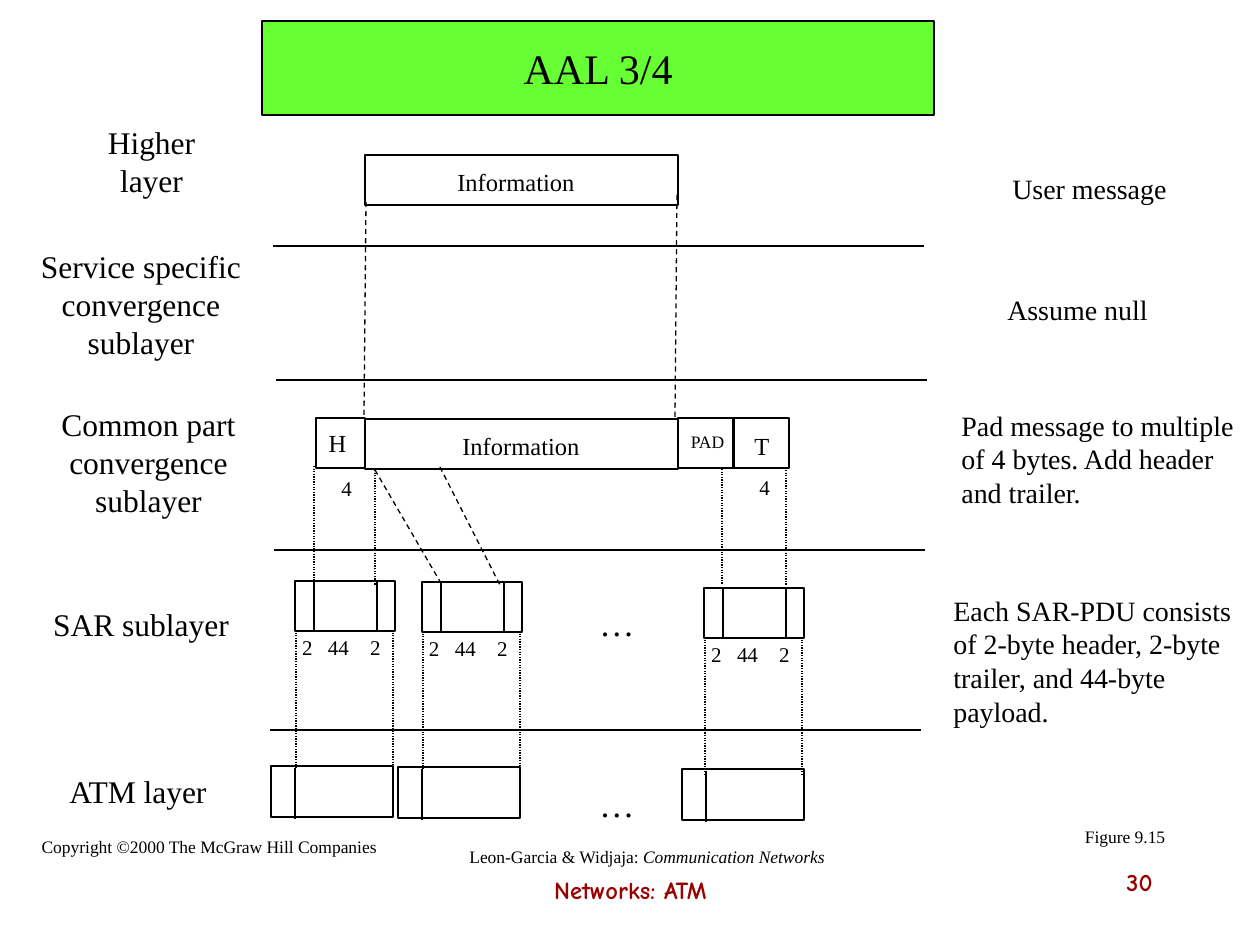
from lxml.etree import SubElement
from pptx import Presentation
from pptx.dml.color import RGBColor
from pptx.enum.dml import MSO_LINE
from pptx.enum.shapes import MSO_CONNECTOR, MSO_SHAPE
from pptx.enum.text import MSO_ANCHOR, PP_ALIGN
from pptx.oxml.ns import qn
from pptx.util import Emu, Pt

BLACK = RGBColor(0x00, 0x00, 0x00)
GREEN = RGBColor(0x66, 0xFF, 0x33)
DARK_RED = RGBColor(0x99, 0x00, 0x00)
SERIF = "Times New Roman"
COMIC = "Comic Neue"
THIN, THICK = 0.75, 1.5
LEFT, CENTER, RIGHT = PP_ALIGN.LEFT, PP_ALIGN.CENTER, PP_ALIGN.RIGHT
DASH, DOT = MSO_LINE.DASH, MSO_LINE.ROUND_DOT


def px(length):
    return Emu(round(length * 914400 / 126))


class Sketch:
    def __init__(self, page):
        self.page = page

    def fill_text(self, frame, spans, size, align=CENTER, font=SERIF, color=BLACK,
                  bold=False, anchor=MSO_ANCHOR.MIDDLE, tabs=()):
        """Fill a text frame; spans are (text, italic) pairs."""
        frame.vertical_anchor = anchor
        para = frame.paragraphs[0]
        para.alignment = align
        if tabs:
            tab_list = SubElement(para._p.get_or_add_pPr(), qn("a:tabLst"))
            for stop in tabs:
                SubElement(tab_list, qn("a:tab"), pos=str(px(stop)), algn="l")
        para.font.name = font
        para.font.size = Pt(size)
        para.font.bold = bold
        para.font.color.rgb = color
        for text, italic in spans:
            span = para.add_run()
            span.text = text
            if italic:
                span.font.italic = True

    def text(self, x, y, width, height, words, size, wrap=True, inset=None, **style):
        box = self.page.shapes.add_textbox(px(x), px(y), px(width), px(height))
        box.text_frame.word_wrap = wrap
        if inset is not None:
            box.text_frame.margin_left = px(inset)
        spans = [(words, False)] if isinstance(words, str) else words
        self.fill_text(box.text_frame, spans, size, **style)

    def rect(self, x, y, width, height, fill=None, weight=THICK):
        box = self.page.shapes.add_shape(
            MSO_SHAPE.RECTANGLE, px(x), px(y), px(width), px(height))
        box.shadow.inherit = False
        if fill is None:
            box.fill.background()
        else:
            box.fill.solid()
            box.fill.fore_color.rgb = fill
        box.line.color.rgb = BLACK
        box.line.width = Pt(weight)
        return box

    def line(self, x1, y1, x2, y2, weight=THIN, dash=None):
        link = self.page.shapes.add_connector(
            MSO_CONNECTOR.STRAIGHT, px(x1), px(y1), px(x2), px(y2))
        link.line.color.rgb = BLACK
        link.line.width = Pt(weight)
        if dash is not None:
            link.line.dash_style = dash
        SubElement(link._element.spPr, qn("a:effectLst"))
        return link

    def sar_unit(self, x, y):
        """Header, payload and trailer with their byte counts."""
        self.rect(x, y, 100, 50)
        for offset in (19, 82):
            self.line(x + offset, y, x + offset, y + 49, THICK)
        self.text(x - 23, y + 45, 145, 43, "2\t44\t2", 12, inset=30,
                  align=LEFT, tabs=(26, 68))

    def atm_cell(self, x, y):
        self.rect(x, y, 122, 51)
        self.line(x + 24, y + 2, x + 24, y + 53, THICK)


def main():
    deck = Presentation()
    deck.slide_width, deck.slide_height = px(1260), px(945)
    page = deck.slides.add_slide(deck.slide_layouts[6])
    sketch = Sketch(page)

    # Title
    title = sketch.rect(262, 21, 672, 94, GREEN, THIN)
    sketch.fill_text(title.text_frame, [("AAL 3/4", False)], 24)

    # Layer names
    for x, y, width, height, name in (
            (60, 136, 183, 50, "Higher layer"),
            (10, 241, 262, 126, "Service specific convergence sublayer"),
            (13, 399, 271, 126, "Common part convergence sublayer"),
            (10, 599, 262, 50, "SAR sublayer"),
            (14, 766, 248, 50, "ATM layer")):
        sketch.text(x, y, width, height, name, 18)

    # Remarks
    for x, y, width, height, remark, align in (
            (941, 165, 297, 47, "User message", CENTER),
            (929, 286, 297, 47, "Assume null", CENTER),
            (949, 402, 311, 113,
             "Pad message to multiple of 4 bytes. Add header and trailer.", LEFT),
            (941, 587, 324, 147, "Each SAR-PDU consists of 2-byte header, "
             "2-byte trailer, and 44-byte payload.", LEFT)):
        sketch.text(x, y, width, height, remark, 16, align=align)

    # Layer separators
    for x, y in ((273, 246), (276, 380), (274, 550), (270, 730)):
        sketch.line(x, y, x + 651, y)

    # User message and convergence sublayer frame
    sketch.rect(365, 155, 313, 50)
    sketch.rect(365, 419, 313, 50)
    sketch.rect(316, 418, 49, 50)
    tail = sketch.rect(678, 418, 111, 50)
    divider = sketch.line(733, 418, 733, 468, THICK)
    divider.begin_connect(tail, 0)
    divider.end_connect(tail, 2)
    for x, y in ((377, 160), (382, 424)):
        sketch.text(x, y, 278, 43, "Information", 14)
    for x, y, width, height, label, size in (
            (316, 421, 43, 43, "H", 14), (742, 424, 40, 43, "T", 14),
            (678, 425, 59, 34, "PAD", 10),
            (329, 469, 35, 38, "4", 12), (747, 468, 35, 38, "4", 12)):
        sketch.text(x, y, width, height, label, size, wrap=False)

    # Dashed guides for the information field
    for guide in ((677, 195, 675, 417), (366, 202, 364, 418),
                  (375, 470, 442, 585), (440, 467, 501, 587)):
        sketch.line(*guide, dash=DASH)

    # Dotted guides into the first and last SAR units
    for x, y in ((314, 466), (375, 470), (722, 469), (786, 470)):
        sketch.line(x, y, x, y + 115, dash=DOT)

    # SAR units, the ATM cells below and the guides between them
    for sar_x, sar_y, atm_x, atm_y in (
            (295, 581, 271, 766), (422, 582, 398, 767), (704, 588, 682, 769)):
        sketch.sar_unit(sar_x, sar_y)
        sketch.atm_cell(atm_x, atm_y)
        for x in (sar_x + 1, sar_x + 98):
            sketch.line(x, sar_y + 49, x, sar_y + 187, dash=DOT)
    for y in (595, 776):
        sketch.text(583, y, 68, 55, "…", 20)

    # Credits and footer
    sketch.text(1072, 819, 106, 34, "Figure 9.15", 10, wrap=False)
    sketch.text(29, 829, 360, 34, "Copyright ©2000 The McGraw Hill Companies",
                10, wrap=False)
    sketch.text(454, 840, 386, 34, [("Leon-Garcia & Widjaja: ", False),
                                    ("Communication Networks", True)], 10, wrap=False)
    footer = dict(font=COMIC, color=DARK_RED, bold=True, anchor=MSO_ANCHOR.TOP)
    sketch.text(431, 869, 399, 53, "Networks: ATM", 14, **footer)
    sketch.text(903, 861, 262, 63, "30", 14, align=RIGHT, **footer)

    deck.save("out.pptx")


if __name__ == "__main__":
    main()
